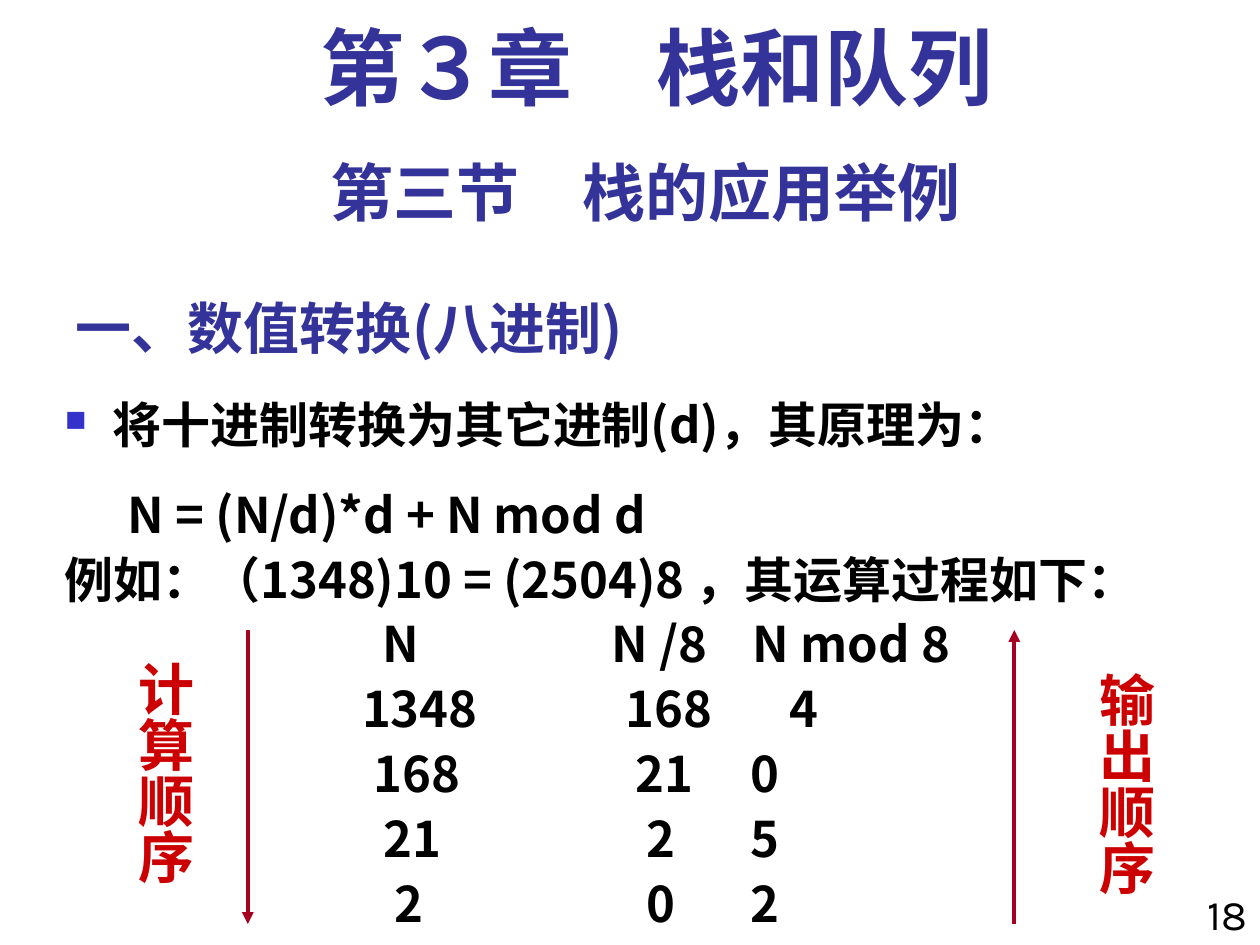
from lxml.etree import SubElement
from pptx import Presentation
from pptx.dml.color import RGBColor
from pptx.enum.shapes import MSO_CONNECTOR
from pptx.enum.text import MSO_ANCHOR, MSO_AUTO_SIZE, PP_ALIGN
from pptx.oxml.ns import qn
from pptx.util import Inches, Pt

CELL = Inches(1) / 12
NOTO, TIMES, KARLA = "Noto Sans CJK SC", "Times New Roman", "Karla"
BLUE, RED, WINE, BLACK = "333399", "CC0000", "A50021", "000000"
BODY = dict(name=NOTO, size=Pt(28), bold=True)
STEPS = [
    (("N", "N /8", "N mod 8"), (2.52, 4.34, 5.46)),
    (("1348", "168", "4"), (2.36, 4.45, 5.75)),
    (("168", "21", "0"), (2.45, 4.53, 5.44)),
    (("21", "2", "5"), (2.53, 4.62, 5.44)),
    (("2", "0", "2"), (2.62, 4.62, 5.44)),
]


def paint(hue):
    """Turn a hex string into a colour."""
    return RGBColor.from_string(hue)


def grid(*cells):
    """Turn counts of grid cells into lengths."""
    return [round(n * CELL) for n in cells]


def apply(item, form):
    """Set attributes from a dict of format values."""
    for key, value in form.items():
        setattr(item, key, value)


def write(para, text, hue, font, form=None):
    """Fill a paragraph with one styled run."""
    apply(para, form or {})
    run = para.add_run()
    run.text = text
    apply(run.font, font)
    run.font.color.rgb = paint(hue)
    SubElement(run.font._element, qn("a:ea"), typeface=NOTO)


def add_box(slide, place, wrap=True):
    """Add a text box on the grid and return its frame."""
    frame = slide.shapes.add_textbox(*grid(*place)).text_frame
    frame.word_wrap = wrap
    return frame


def add_label(slide, place, text, hue, font, form):
    """Add a box with one line of text."""
    write(add_box(slide, place).paragraphs[0], text, hue, font, form)


def add_title(slide, place, text):
    """Place and format the title."""
    title = slide.shapes.title
    sides = ("left", "top", "width", "height")
    apply(title, dict(zip(sides, grid(*place))))
    frame = title.text_frame
    apply(frame, dict(vertical_anchor=MSO_ANCHOR.BOTTOM, word_wrap=True,
                      auto_size=MSO_AUTO_SIZE.NONE))
    write(frame.paragraphs[0], text, BLUE,
          dict(name=NOTO, size=Pt(32), bold=True), dict(alignment=PP_ALIGN.LEFT))


def indent(para, left, first=0):
    """Set the left margin and first-line indent in inches."""
    props = para._p.get_or_add_pPr()
    props.set("marL", str(Inches(left)))
    props.set("indent", str(Inches(first)))
    return props


def add_bullet(para):
    """Give a paragraph a small square bullet."""
    props = indent(para, 0.38, -0.38)
    SubElement(SubElement(props, qn("a:buClr")), qn("a:srgbClr"), val="3333CC")
    SubElement(props, qn("a:buSzPct"), val="60000")
    SubElement(props, qn("a:buChar"), char="■")


def add_tabs(para, stops):
    """Give a paragraph left tab stops in inches."""
    tabs = SubElement(para._p.get_or_add_pPr(), qn("a:tabLst"))
    for stop in stops:
        SubElement(tabs, qn("a:tab"), pos=str(Inches(stop)), algn="l")


def add_body(slide, place):
    """Write the principle, the example and its steps."""
    frame = add_box(slide, place)
    para = frame.paragraphs[0]
    add_bullet(para)
    write(para, "将十进制转换为其它进制(d)，其原理为：", BLACK, BODY)
    para = frame.add_paragraph()
    indent(para, 0.5)
    write(para, "N = (N/d)*d + N mod d", BLACK, BODY, dict(space_before=Pt(17.5)))
    tight = dict(space_before=Pt(3.5))
    write(frame.add_paragraph(), "例如：（1348)10 = (2504)8 ，其运算过程如下：",
          BLACK, BODY, tight)
    for words, stops in STEPS:
        para = frame.add_paragraph()
        add_tabs(para, stops)
        write(para, "".join("\t" + word for word in words), BLACK, BODY, tight)


def add_arrow(slide, col, start, end):
    """Draw an upright arrow between two grid rows."""
    ends = grid(col, start, col, end)
    arrow = slide.shapes.add_connector(MSO_CONNECTOR.STRAIGHT, *ends)
    arrow.line.width = Pt(2.25)
    arrow.line.color.rgb = paint(WINE)
    SubElement(arrow.line._get_or_add_ln(), qn("a:tailEnd"), type="triangle")
    SubElement(arrow._element.spPr, qn("a:effectLst"))


def add_side(slide, place, text):
    """Write an upright red label."""
    frame = add_box(slide, place, False)
    thin, wide = Inches(0.05), Inches(0.1)
    apply(frame, dict(margin_left=thin, margin_right=thin,
                      margin_top=wide, margin_bottom=wide))
    frame._txBody.bodyPr.set("vert", "eaVert")
    write(frame.paragraphs[0], text, RED,
          dict(name=TIMES, size=Pt(32), bold=True))


def main():
    """Build and save the slide."""
    deck = Presentation()
    deck.slide_width, deck.slide_height = grid(120, 90)
    slide = deck.slides.add_slide(deck.slide_layouts[5])
    mid = dict(alignment=PP_ALIGN.CENTER)
    add_title(slide, (6, 26, 75, 9), "一、数值转换(八进制)")
    add_label(slide, (112, 84, 8, 7), "18", BLACK,
              dict(name=KARLA, size=Pt(24)), dict(alignment=PP_ALIGN.RIGHT))
    add_label(slide, (6, 14, 111, 8.4), "第三节　栈的应用举例", BLUE,
              dict(name=KARLA, size=Pt(36), bold=True), mid)
    add_body(slide, (5, 37, 115, 53))
    add_label(slide, (8, 2, 109, 10), "第３章　栈和队列", BLUE,
              dict(name=TIMES, size=Pt(48), bold=True),
              dict(mid, line_spacing=0.9))
    add_arrow(slide, 23.6, 60, 88)
    add_arrow(slide, 96.6, 88, 60)
    add_side(slide, (102.2, 62.8, 8.8, 22.5), "输出顺序")
    add_side(slide, (10.7, 61.8, 8.8, 22.5), "计算顺序")
    deck.save("out.pptx")


if __name__ == "__main__":
    main()
